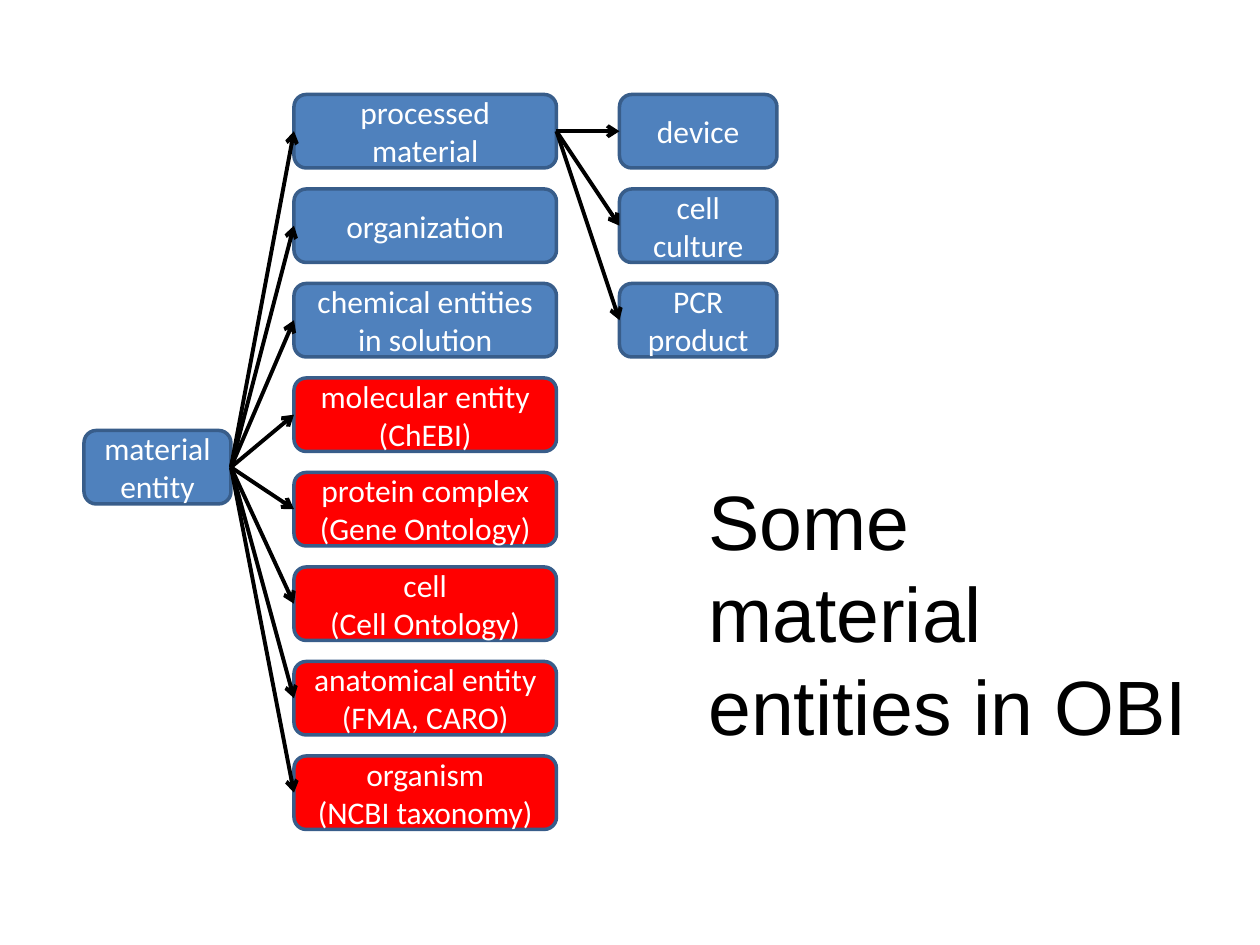
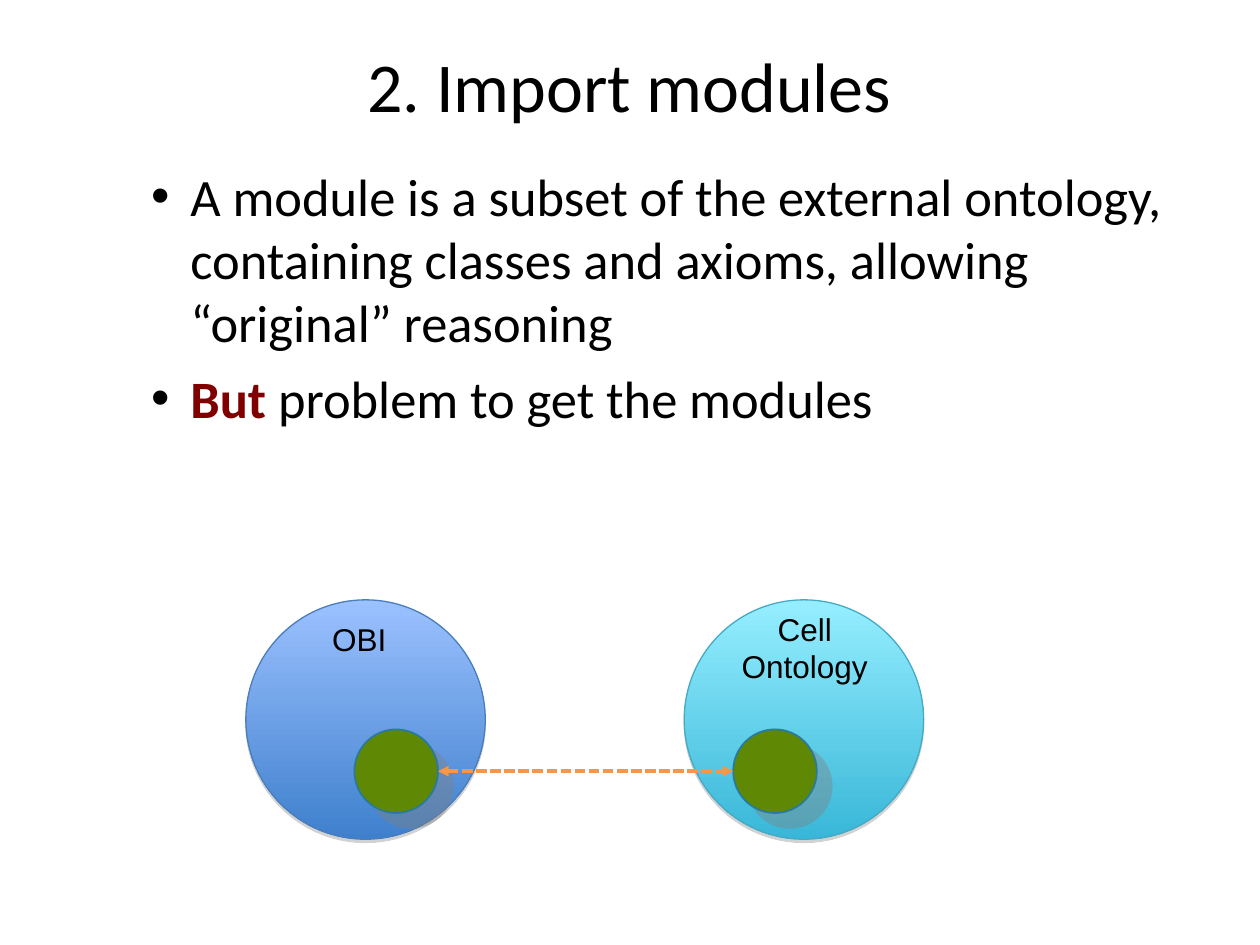
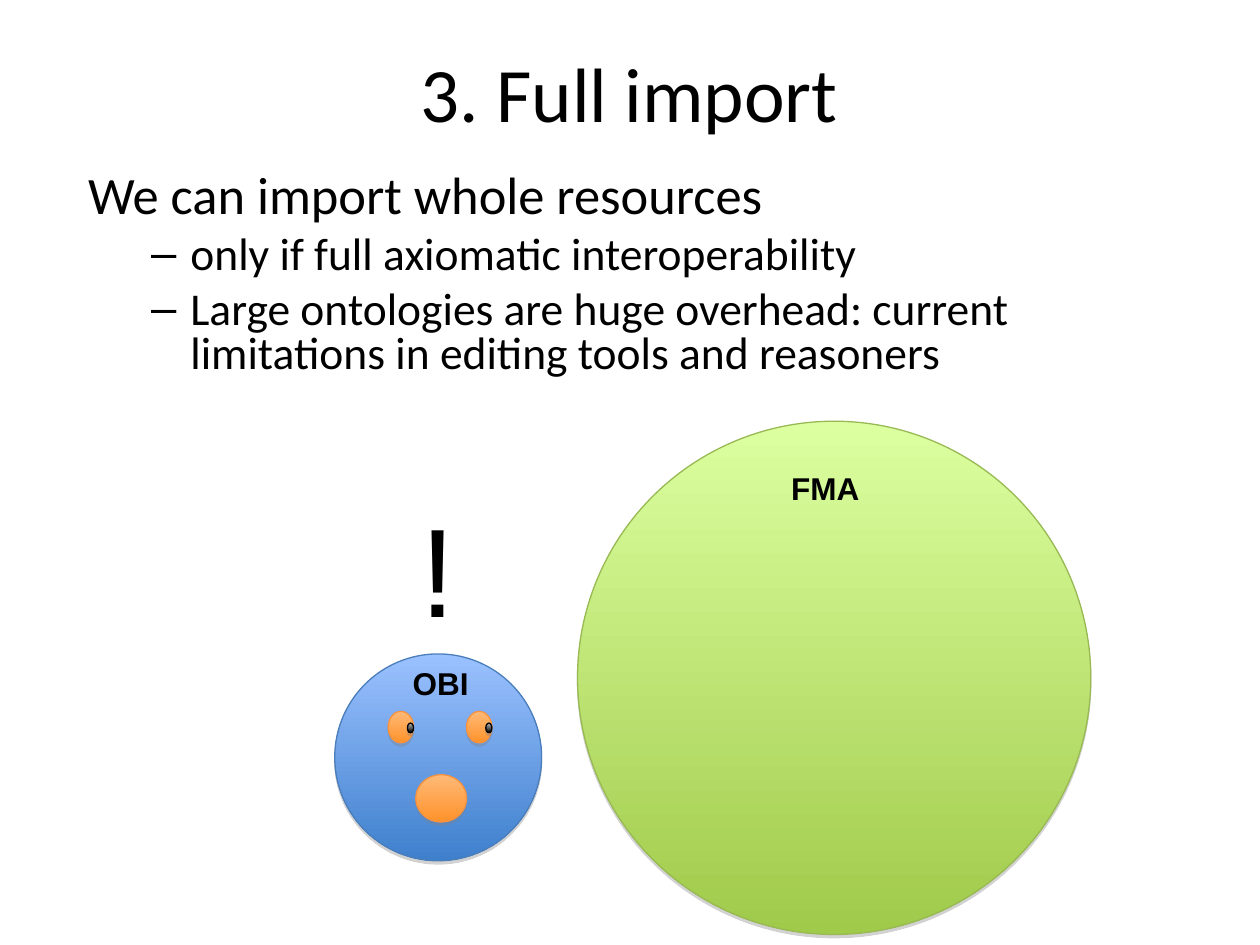
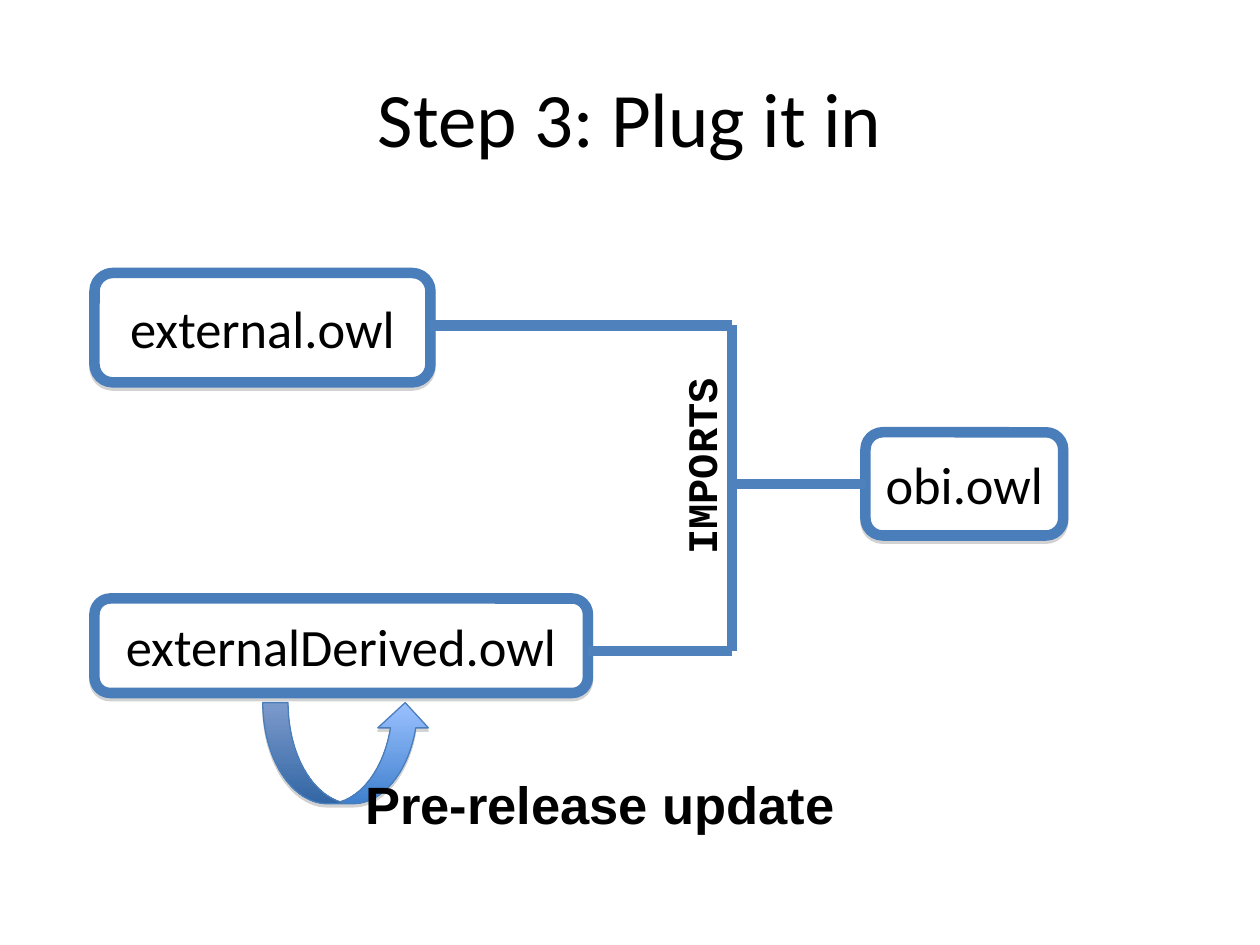
from lxml.etree import SubElement
from pptx import Presentation
from pptx.dml.color import RGBColor
from pptx.enum.dml import MSO_LINE
from pptx.enum.shapes import MSO_CONNECTOR, MSO_SHAPE
from pptx.enum.text import MSO_ANCHOR, MSO_AUTO_SIZE, PP_ALIGN
from pptx.oxml.ns import qn
from pptx.util import Pt

# Shared style
BLACK, WHITE = "000000", "FFFFFF"
BLUE, RED, BOX_EDGE = "4F81BD", "FF0000", "385D8A"
FILE_EDGE, MODULE_GREEN, MODULE_EDGE = "4A7EBB", "5F8804", "287A9E"
ORANGE, MAROON = "F79646", "800000"
# Each gradient: top colour, bottom colour, outline
BLUE_GLOSS = ("9BC1FF", "3F80CD", "4A7EBB")
CYAN_GLOSS = ("95EEFF", "39B7D8", "46AAC5")
GREEN_GLOSS = ("DCFFA0", "A0CA4A", "98B954")
ORANGE_GLOSS = ("FFB977", "FF932B", "F69240")
BLACK_GLOSS = ("BCBCBC", "000000", "000000")
HEADING, LABEL, CODE = "Calibri", "Arial", "Courier New"
TITLE_ONLY = 5
LEFT_SITE, RIGHT_SITE = 1, 3


def rgb(value):
    return RGBColor.from_string(value)


def points(*lengths):
    return [Pt(length) for length in lengths]


# Text
def add_span(para, text, size, font, color=BLACK, bold=False):
    span = para.add_run()
    span.text = text
    span.font.size = Pt(size)
    span.font.name = font
    span.font.bold = bold
    span.font.color.rgb = rgb(color)


def write(frame, paragraphs, size, font, color=BLACK, bold=False,
          align=PP_ALIGN.CENTER, anchor=MSO_ANCHOR.TOP, wrap=True):
    frame.auto_size = MSO_AUTO_SIZE.NONE
    frame.word_wrap = wrap
    frame.vertical_anchor = anchor
    for index, text in enumerate(paragraphs):
        para = frame.add_paragraph() if index else frame.paragraphs[0]
        para.alignment = align
        for number, line in enumerate(text.split("\n")):
            if number:
                para.add_line_break()
            add_span(para, line, size, font, color, bold)


def add_label(page, box, paragraphs, size, font=LABEL, **style):
    label = page.shapes.add_textbox(*points(*box))
    write(label.text_frame, paragraphs, size, font, **style)
    return label


def set_title(page, box, paragraphs, size=44, font=HEADING,
              anchor=MSO_ANCHOR.MIDDLE, **style):
    title = page.shapes.title
    title.left, title.top, title.width, title.height = points(*box)
    write(title.text_frame, paragraphs, size, font, anchor=anchor, **style)


def set_bullet(para, mark, left, hanging):
    properties = para._p.get_or_add_pPr()
    properties.set("marL", str(Pt(left)))
    properties.set("indent", str(Pt(-hanging)))
    if mark:
        color = SubElement(properties, qn("a:buClr"))
        SubElement(color, qn("a:srgbClr"), val=BLACK)
        SubElement(properties, qn("a:buFont"), typeface="Arial")
        SubElement(properties, qn("a:buChar"), char=mark)
    else:
        SubElement(properties, qn("a:buNone"))


def add_body(page, box, items, spacing=1.0):
    """Each item: bullet mark, left indent, hanging, size, space before, spans."""
    frame = page.shapes.add_textbox(*points(*box)).text_frame
    frame.word_wrap = True
    for index, (mark, left, hanging, size, before, spans) in enumerate(items):
        para = frame.add_paragraph() if index else frame.paragraphs[0]
        set_bullet(para, mark, left, hanging)
        para.line_spacing = spacing
        if index:
            para.space_before = Pt(before)
        for text, color, bold in spans:
            add_span(para, text, size, HEADING, color, bold)


# Shapes and lines
def add_shadow(shape, distance=1.8, angle=90, opacity=35):
    effects = shape.element.spPr.find(qn("a:effectLst"))
    shadow = SubElement(effects, qn("a:outerShdw"), blurRad="0",
                        dist=str(Pt(distance)), dir=str(angle * 60000),
                        algn="ctr", rotWithShape="0")
    color = SubElement(shadow, qn("a:srgbClr"), val="808080")
    SubElement(color, qn("a:alpha"), val=str(opacity * 1000))


def add_solid(page, kind, box, fill, edge, width):
    shape = page.shapes.add_shape(kind, *points(*box))
    shape.shadow.inherit = False
    shape.fill.solid()
    shape.fill.fore_color.rgb = rgb(fill)
    shape.line.color.rgb = rgb(edge)
    shape.line.width = Pt(width)
    return shape


def add_glossy(page, box, gloss, kind=MSO_SHAPE.OVAL):
    *stops, edge = gloss
    shape = add_solid(page, kind, box, stops[0], edge, 0.75)
    shape.fill.gradient()
    shape.fill.gradient_angle = 270
    for stop, color in zip(shape.fill.gradient_stops, stops):
        stop.color.rgb = rgb(color)
    add_shadow(shape)
    return shape


def add_line(page, start, end, color, width, head=None, tail=None, dash=None):
    line = page.shapes.add_connector(
        MSO_CONNECTOR.STRAIGHT, *points(*start, *end))
    line.line.color.rgb = rgb(color)
    line.line.width = Pt(width)
    if dash:
        line.line.dash_style = dash
    outline = line.element.spPr.find(qn("a:ln"))
    for tag, arrow in (("a:headEnd", head), ("a:tailEnd", tail)):
        if arrow:
            SubElement(outline, qn(tag), type=arrow)
    SubElement(line.element.spPr, qn("a:effectLst"))
    return line


# Slide 1: tree of material entities
def add_entity(page, left, top, width, text, fill):
    entity = add_solid(page, MSO_SHAPE.ROUNDED_RECTANGLE,
                       (left, top, width, 42), fill, BOX_EDGE, 2)
    write(entity.text_frame, [text], 18, HEADING, WHITE,
          anchor=MSO_ANCHOR.MIDDLE)
    return entity


def add_column(page, left, top, width, entries, step=54):
    return [add_entity(page, left, top + row * step, width, text, fill)
            for row, (text, fill) in enumerate(entries)]


def add_branches(page, parent, children):
    for child in children:
        line = add_line(page, (0, 0), (0, 0), BLACK, 2.25, tail="arrow")
        line.begin_connect(parent, RIGHT_SITE)
        line.end_connect(child, LEFT_SITE)


def build_entities(page):
    set_title(page, (397.5, 267, 298, 113), ["Some material", "entities in OBI"],
              font=LABEL, align=PP_ALIGN.LEFT, anchor=MSO_ANCHOR.TOP, wrap=False)
    root = add_entity(page, 48, 246, 84, "material entity", BLUE)
    children = add_column(page, 168, 54, 150, [
        ("processed material", BLUE),
        ("organization", BLUE),
        ("chemical entities in solution", BLUE),
        ("molecular entity (ChEBI)", RED),
        ("protein complex\n(Gene Ontology)", RED),
        ("cell\n(Cell Ontology)", RED),
        ("anatomical entity (FMA, CARO)", RED),
        ("organism\n(NCBI taxonomy)", RED),
    ])
    products = add_column(page, 354, 54, 90, [
        ("device", BLUE), ("cell culture", BLUE), ("PCR product", BLUE)])
    add_branches(page, root, children)
    add_branches(page, children[0], products)


# Slide 2: two ontologies sharing a module
def add_ontology(page, left, top, gloss, label_box, lines, module_left):
    """Return the middle of the module's left side and of its right side."""
    size = 47.8
    add_glossy(page, (left, top, 136.8, 136.8), gloss)
    label_left, label_top, label_width, label_height = label_box
    add_label(page, (left + label_left, top + label_top,
                     label_width, label_height), lines, 18)
    module_x, module_y = left + module_left, top + 74
    module = add_solid(page, MSO_SHAPE.OVAL, (module_x, module_y, size, size),
                       MODULE_GREEN, MODULE_EDGE, 1)
    add_shadow(module, 12.1, 45, 40)
    middle = module_y + size / 2
    return (module_x, middle), (module_x + size, middle)


def build_modules(page):
    set_title(page, (43.2, 18, 633, 60), ["2. Import modules"], size=40)
    bullet = ("•", 58.5, 22.5, 30, 7.5)
    add_body(page, (43.2, 90, 633, 198), [
        (*bullet, [("A module is a subset of the external ontology, containing "
                    "classes and axioms, allowing “original” reasoning",
                    BLACK, False)]),
        (*bullet, [("But ", MAROON, True),
                   ("problem to get the modules", BLACK, False)]),
    ])
    _, obi_side = add_ontology(page, 140.5, 342.8, BLUE_GLOSS,
                               (11.5, 8, 106.5, 29), ["OBI"], 62)
    cell_side, _ = add_ontology(page, 391, 342.8, CYAN_GLOSS,
                                (0.5, 2, 136.8, 50.5), ["Cell", "Ontology"], 28)
    add_line(page, obi_side, cell_side, ORANGE, 2,
             head="triangle", tail="triangle", dash=MSO_LINE.SQUARE_DOT)


# Slide 3: small ontology facing a huge one
def add_face(page, left, top):
    add_glossy(page, (left, top, 118.2, 118.2), BLUE_GLOSS)
    add_label(page, (left + 14.5, top + 2, 92, 29), ["OBI"], 18, bold=True)
    for eye in (30.5, 75.3):
        add_glossy(page, (left + eye, top + 32.8, 14.5, 18), ORANGE_GLOSS)
        add_glossy(page, (left + eye + 11, top + 39.5, 3.5, 5.5), BLACK_GLOSS)
    add_glossy(page, (left + 46.3, top + 69, 29, 27), ORANGE_GLOSS)
    add_label(page, (left + 41.8, top - 96.5, 44.5, 93.5), ["!"], 72,
              align=PP_ALIGN.LEFT)


def build_full_import(page):
    set_title(page, (43.2, 9, 633, 87), ["3. Full import"])
    dash = ("–", 58.5, 22.5, 26, 6.5)
    add_body(page, (43.2, 96, 633, 129.6), [
        (None, 36, 36, 30, 0,
         [("We can import whole resources", BLACK, False)]),
        (*dash, [("only if full axiomatic interoperability", BLACK, False)]),
        (*dash, [("Large ontologies are huge overhead: current limitations "
                  "in editing tools and reasoners", BLACK, False)]),
    ], spacing=0.8)
    add_face(page, 191.3, 373.7)
    add_glossy(page, (330, 240.7, 293.3, 293.3), GREEN_GLOSS)
    add_label(page, (382.3, 264.5, 178.5, 29), ["FMA"], 18, bold=True)


# Slide 4: files and the bracket that imports them
def add_file(page, box, name):
    file_box = add_solid(page, MSO_SHAPE.ROUNDED_RECTANGLE, box,
                         WHITE, FILE_EDGE, 6)
    add_shadow(file_box)
    write(file_box.text_frame, [name], 30, HEADING, anchor=MSO_ANCHOR.MIDDLE)


def add_bracket(page, trunk, top, bottom, middle, top_start, bottom_start, end):
    for start, finish in (
            ((top_start, top), (trunk, top)),
            ((bottom_start, bottom), (trunk, bottom)),
            ((trunk, top), (trunk, bottom)),
            ((trunk, middle), (end, middle))):
        add_line(page, start, finish, BLUE, 6)


def build_plug_in(page):
    set_title(page, (36, 21.6, 648, 90), ["Step 3: Plug it in"])
    add_file(page, (54, 156, 192, 62.5), "external.owl")
    add_file(page, (54, 342, 282, 54), "externalDerived.owl")
    add_file(page, (494.6, 247, 113, 59), "obi.owl")
    add_bracket(page, 418.3, 186, 372, 276.5, 246, 336, 494.6)
    imports = add_label(page, (342.7, 248.4, 115.2, 36), ["IMPORTS"], 24, CODE,
                        bold=True, align=PP_ALIGN.LEFT, wrap=False)
    imports.rotation = 270
    add_glossy(page, (150.2, 401.5, 95.8, 57.8), BLUE_GLOSS,
               MSO_SHAPE.CURVED_UP_ARROW)
    add_label(page, (201.6, 437.8, 283, 43), ["Pre-release update"], 30,
              bold=True, align=PP_ALIGN.LEFT, wrap=False)


def main():
    deck = Presentation()
    deck.slide_width, deck.slide_height = points(720, 540)
    for build in (build_entities, build_modules, build_full_import,
                  build_plug_in):
        build(deck.slides.add_slide(deck.slide_layouts[TITLE_ONLY]))
    deck.save("out.pptx")


if __name__ == "__main__":
    main()
